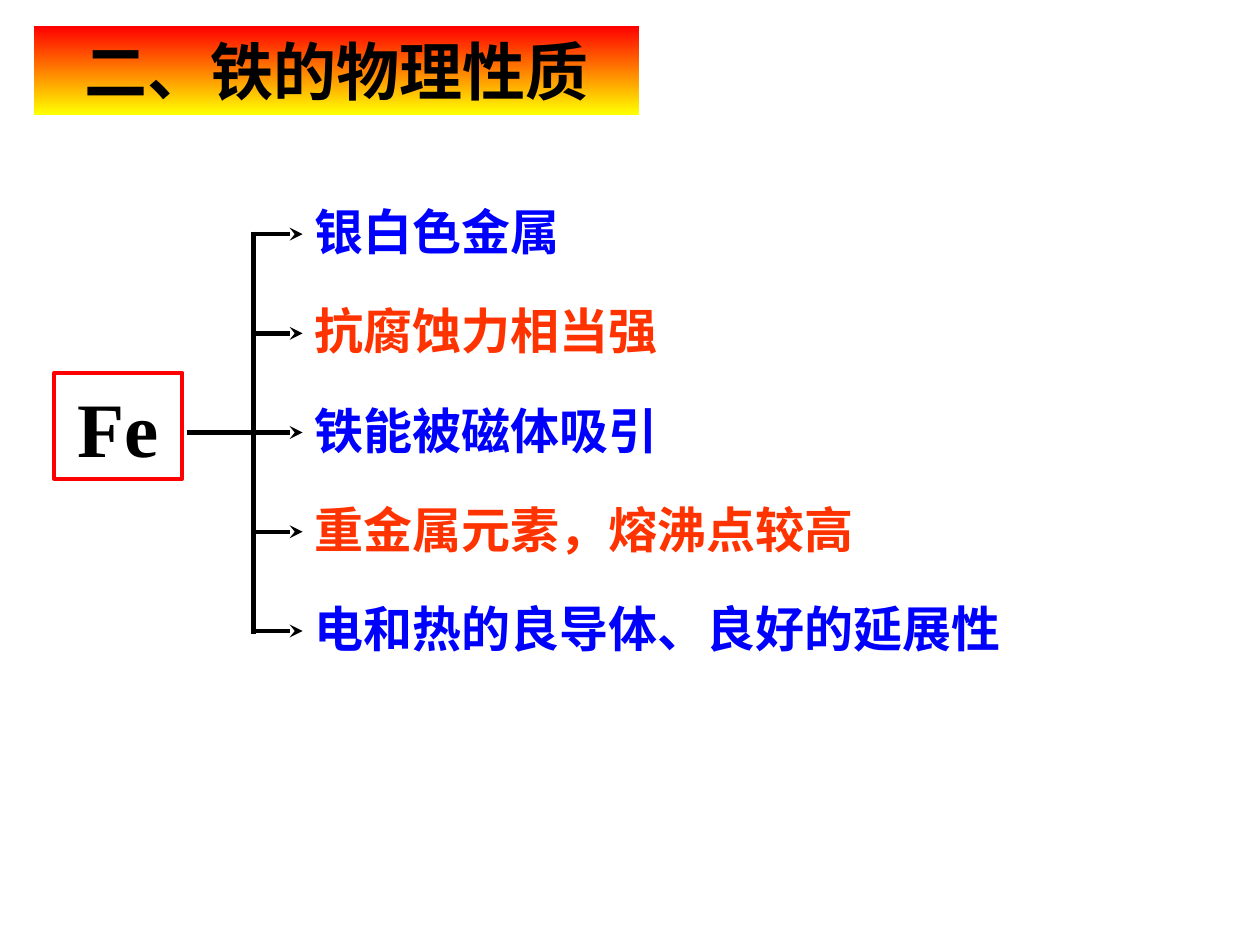
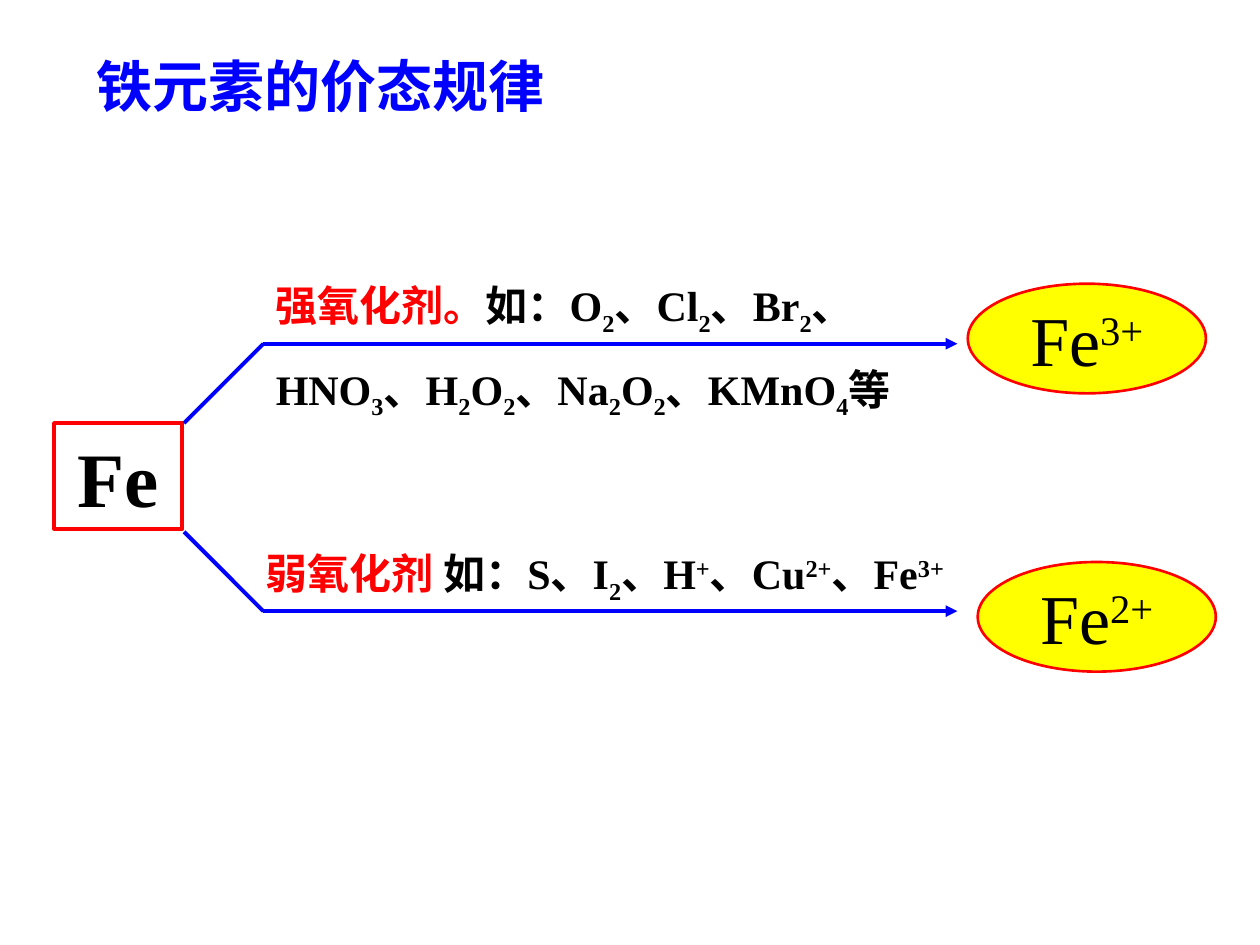
"""Builds two slides on the physical properties and valence rules of iron."""
from lxml.etree import SubElement
from pptx import Presentation
from pptx.dml.color import RGBColor
from pptx.enum.shapes import MSO_CONNECTOR, MSO_SHAPE
from pptx.enum.text import MSO_ANCHOR, PP_ALIGN
from pptx.oxml.ns import qn
from pptx.util import Cm, Pt

COLORS = {"black": "000000", "blue": "0000FF", "red": "FF0000",
          "orange": "FF3300", "yellow": "FFFF00"}
SERIF, CJK, SANS = "Times New Roman", "Noto Sans CJK SC", "Arial"


class Deck:
    """Holds the shared style and the current slide."""

    def __init__(self):
        self.prs = Presentation()
        self.prs.slide_width, self.prs.slide_height = Cm(25.4), Cm(19.05)
        self.s = None

    def new_slide(self):
        self.s = self.prs.slides.add_slide(self.prs.slide_layouts[6])

    def color(self, name):
        return RGBColor.from_string(COLORS[name])

    def add_runs(self, p, text, size, color, font=SERIF, bold=True):
        """Adds runs; parts between bars are subscripts, or superscripts if charges."""
        for i, part in enumerate(text.split("|")):
            if not part:
                continue
            r = p.add_run()
            r.text = part
            r.font.size, r.font.bold, r.font.name = Pt(size), bold, font
            r.font.color.rgb = self.color(color)
            rpr = r.font._element
            SubElement(rpr, qn("a:ea")).set("typeface", CJK)
            if i % 2:
                rpr.set("baseline", "30000" if part.endswith("+") else "-25000")

    def text(self, x, y, w, h, paragraphs, size, font=SERIF):
        """Adds a text box from paragraphs of (text, colour) runs."""
        tf = self.s.shapes.add_textbox(Cm(x), Cm(y), Cm(w), Cm(h)).text_frame
        tf.word_wrap = True
        for i, runs in enumerate(paragraphs):
            p = tf.add_paragraph() if i else tf.paragraphs[0]
            if i:
                p.space_before = Pt(15)
            for text, color in runs:
                self.add_runs(p, text, size, color, font)

    def shape(self, kind, x, y, w, h, text, size, font=SERIF, bold=True,
              fill=None, line=None, weight=1.5, anchor=MSO_ANCHOR.MIDDLE, wrap=True):
        """Adds a preset shape with centred text; two fill colours make a gradient."""
        sp = self.s.shapes.add_shape(kind, Cm(x), Cm(y), Cm(w), Cm(h))
        sp.shadow.inherit = False
        if fill is None:
            sp.fill.background()
        elif isinstance(fill, tuple):
            sp.fill.gradient()
            sp.fill.gradient_angle = 270
            for stop, name in zip(sp.fill.gradient_stops, fill):
                stop.color.rgb = self.color(name)
        else:
            sp.fill.solid()
            sp.fill.fore_color.rgb = self.color(fill)
        if line:
            sp.line.color.rgb = self.color(line)
            sp.line.width = Pt(weight)
        else:
            sp.line.fill.background()
        tf = sp.text_frame
        tf.word_wrap, tf.vertical_anchor = wrap, anchor
        p = tf.paragraphs[0]
        p.alignment = PP_ALIGN.CENTER
        self.add_runs(p, text, size, "black", font, bold)

    def iron_box(self, y):
        self.shape(MSO_SHAPE.RECTANGLE, 1.09, y, 2.59, 2.13, "Fe", 44,
                   line="red", weight=2.25, anchor=MSO_ANCHOR.BOTTOM)

    def ion(self, x, y, text):
        self.shape(MSO_SHAPE.OVAL, x, y, 4.8, 2.21, text, 40, bold=False,
                   fill="yellow", line="red", wrap=False)

    def line(self, x1, y1, x2, y2, color, weight, head=None):
        cxn = self.s.shapes.add_connector(MSO_CONNECTOR.STRAIGHT,
                                          Cm(x1), Cm(y1), Cm(x2), Cm(y2))
        cxn.line.color.rgb = self.color(color)
        cxn.line.width = Pt(weight)
        sppr = cxn._element.spPr
        if head:
            SubElement(sppr.find(qn("a:ln")), qn("a:tailEnd")).set("type", head)
        SubElement(sppr, qn("a:effectLst"))


def physical_properties(deck):
    deck.new_slide()
    deck.shape(MSO_SHAPE.RECTANGLE, 0.69, 0.53, 12.19, 1.78, "二、铁的物理性质",
               36, font=CJK, fill=("red", "yellow"))
    properties = ["银白色金属", "抗腐蚀力相当强", "铁能被磁体吸引",
                  "重金属元素，熔沸点较高", "电和热的良导体、良好的延展性"]
    spine_x, text_x, first_y, step = 5.11, 6.1, 4.72, 2
    for i, name in enumerate(properties):
        y = first_y + i * step
        color = "orange" if i % 2 else "blue"
        deck.text(text_x, y - 0.78, 18, 1.45, [[(name, color)]], 28, CJK)
        deck.line(spine_x, y, text_x, y, "black", 2.5, "stealth")
    deck.line(spine_x, 4.67, spine_x, 12.78, "black", 2.5)
    deck.line(3.76, 8.72, 5.05, 8.72, "black", 2.5)
    deck.iron_box(7.52)


def valence_rules(deck):
    deck.new_slide()
    deck.text(1.7, 0.91, 17.4, 1.63, [[("铁元素的价态规律", "blue")]], 32, SANS)
    deck.text(5.31, 5.51, 13.79, 4.11, [
        [("强氧化剂。", "red"), ("如：O|2|、Cl|2|、Br|2|、", "black")],
        [("HNO|3|、H|2|O|2|、Na|2|O|2|、KMnO|4|等", "black")]], 24)
    deck.text(5.11, 10.92, 15.8, 2.44, [
        [("弱氧化剂 ", "red"), ("如：S、I|2|、H|+|、Cu|2+|、Fe|3+|", "black")]], 24)
    deck.iron_box(8.53)
    for y, corner_y in ((6.93, 8.53), (12.32, 10.72)):
        deck.line(5.31, y, 3.71, corner_y, "blue", 2.25)
        deck.line(5.31, y, 19.3, y, "blue", 2.25, "triangle")
    deck.ion(19.51, 5.72, "Fe|3+|")
    deck.ion(19.71, 11.33, "Fe|2+|")


def main():
    deck = Deck()
    physical_properties(deck)
    valence_rules(deck)
    deck.prs.save("out.pptx")


if __name__ == "__main__":
    main()
